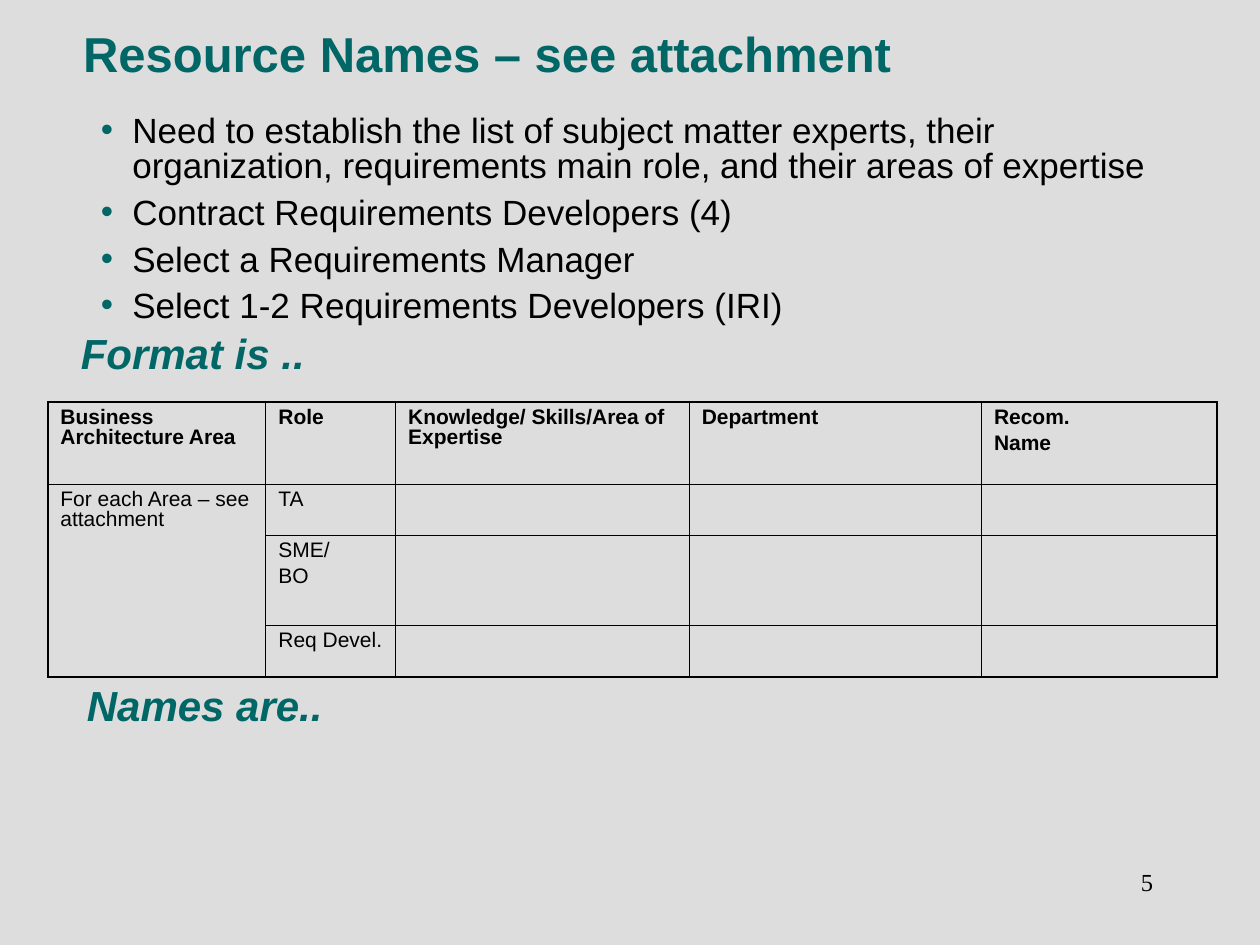
from itertools import product
from lxml.etree import SubElement
from pptx import Presentation
from pptx.dml.color import RGBColor
from pptx.enum.text import MSO_ANCHOR, MSO_AUTO_SIZE, PP_ALIGN as Align
from pptx.oxml.ns import qn
from pptx.util import Inches, Pt

COLOR = {"back": "DDDDDD", "teal": "006666", "ink": "000000"}
TITLE = "Resource Names – see attachment"
POINTS = [
    "Need to establish the list of subject matter experts, their organization, "
    "requirements main role, and their areas of expertise",
    "Contract Requirements Developers (4)",
    "Select a Requirements Manager",
    "Select 1-2 Requirements Developers (IRI)",
]
HEADS = [
    ("Format is ..", (0.54, 2.55, 1.98, 0.5)),
    ("Names are..", (0.59, 5.34, 2.07, 0.5)),
]
ROWS = [
    ["Business Architecture Area", "Role", "Knowledge/ Skills/Area of Expertise",
     "Department", "Recom.\nName"],
    ["For each Area – see attachment", "TA", "", "", ""],
    ["", "SME/\nBO", "", "", ""],
    ["", "Req Devel.", "", "", ""],
]
WIDTHS = [1.73, 1.03, 2.33, 2.32, 1.87]
HEIGHTS = [0.65, 0.32, 0.72, 0.4]
THIN, THICK = 0.45, 1.08


def rgb(name):
    return RGBColor.from_string(COLOR[name])


def style(par, size, color="ink", bold=False, italic=False, face="Arial"):
    font = par.font
    font.name, font.size, font.bold, font.italic = face, Pt(size), bold, italic
    font.color.rgb = rgb(color)


def place(shape, box):
    shape.left, shape.top, shape.width, shape.height = map(Inches, box)
    frame = shape.text_frame
    frame.word_wrap = True
    frame.auto_size = MSO_AUTO_SIZE.NONE
    frame.vertical_anchor = MSO_ANCHOR.TOP
    return frame


def space(frame, gap):
    for i, par in enumerate(frame.paragraphs):
        par.line_spacing = 0.85
        par.space_before = Pt(gap if i else 0)


def bullet(par):
    props = par._p.get_or_add_pPr()
    props.set("marL", str(Inches(0.25)))
    props.set("indent", str(-Inches(0.25)))
    tint = SubElement(props, qn("a:buClr"))
    SubElement(tint, qn("a:srgbClr"), val=COLOR["teal"])
    SubElement(props, qn("a:buFont"), typeface="Arial")
    SubElement(props, qn("a:buChar"), char="•")


def border(cell, sides):
    props = cell._tc.get_or_add_tcPr()
    for side, wide in sides.items():
        line = SubElement(props, qn("a:ln" + side), w=str(Pt(THICK if wide else THIN)))
        fill = SubElement(line, qn("a:solidFill"))
        SubElement(fill, qn("a:srgbClr"), val=COLOR["ink"])


def add_grid(slide):
    rows, cols = len(HEIGHTS), len(WIDTHS)
    box = map(Inches, (0.38, 3.19, sum(WIDTHS), sum(HEIGHTS)))
    table = slide.shapes.add_table(rows, cols, *box).table
    table.first_row = table.horz_banding = False
    for col, width in zip(table.columns, WIDTHS):
        col.width = Inches(width)
    for row, height in zip(table.rows, HEIGHTS):
        row.height = Inches(height)
    table.cell(1, 0).merge(table.cell(rows - 1, 0))
    for r, c in product(range(rows), range(cols)):
        cell = table.cell(r, c)
        border(cell, {"L": c == 0, "R": c == cols - 1, "T": r == 0,
                      "B": r == rows - 1 or (c == 0 and r > 0)})
        cell.fill.background()
        if ROWS[r][c]:
            cell.text = ROWS[r][c]
            space(cell.text_frame, 3.7)
            for par in cell.text_frame.paragraphs:
                style(par, 12, bold=r == 0)


def main():
    deck = Presentation()
    deck.slide_width, deck.slide_height = Inches(10), Inches(7.5)
    slide = deck.slides.add_slide(deck.slide_layouts[1])
    fill = slide.background.fill
    fill.solid()
    fill.fore_color.rgb = rgb("back")

    frame = place(slide.shapes.title, (0.56, 0.21, 7.28, 1.25))
    frame.text = TITLE
    space(frame, 0)
    frame.paragraphs[0].alignment = Align.LEFT
    style(frame.paragraphs[0], 28, "teal", bold=True)

    add_grid(slide)

    for text, box in HEADS:
        frame = place(slide.shapes.add_textbox(0, 0, 0, 0), box)
        frame.word_wrap = False
        frame.text = text
        frame.paragraphs[0].alignment = Align.CENTER
        style(frame.paragraphs[0], 24, "teal", bold=True, italic=True)

    frame = place(slide.placeholders[1], (0.7, 0.86, 8.95, 2.15))
    frame.text = "\n".join(POINTS)
    for par in frame.paragraphs:
        bullet(par)
        style(par, 20)
    space(frame, 6.2)

    frame = place(slide.shapes.add_textbox(0, 0, 0, 0), (7.17, 6.83, 2.08, 0.5))
    frame.text = "5"
    frame.paragraphs[0].alignment = Align.RIGHT
    style(frame.paragraphs[0], 14, face="Times New Roman")
    deck.save("out.pptx")


if __name__ == "__main__":
    main()
